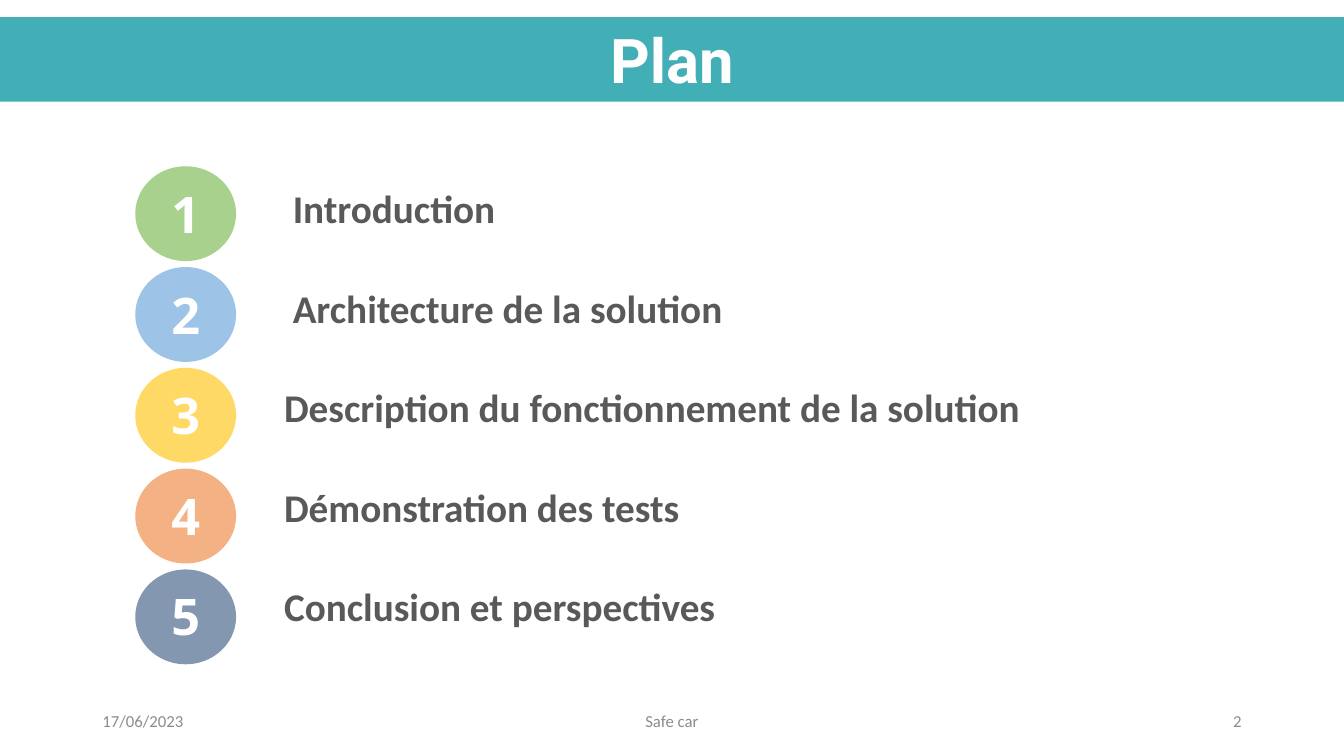
from dataclasses import dataclass

from pptx import Presentation
from pptx.dml.color import RGBColor
from pptx.enum.shapes import MSO_SHAPE as Preset
from pptx.enum.text import MSO_ANCHOR as Anchor, MSO_AUTO_SIZE as AutoSize, PP_ALIGN as Align
from pptx.util import Cm, Pt


@dataclass(frozen=True)
class Theme:
    banner: str = "42AFB6"
    white: str = "FFFFFF"
    label: str = "595959"
    footer: str = "8C8C8C"
    steps: tuple = ("A9D18E", "9DC3E6", "FFD966", "F4B183", "8497B0")
    title_font: str = "Roboto"
    number_font: str = "Noto Sans"
    body_font: str = "Calibri"
    title_size: int = 44
    number_size: int = 36
    label_size: int = 28
    footer_size: int = 12


class PlanSlide:
    def __init__(self, slide, theme):
        self.shapes = slide.shapes
        self.theme = theme

    def shape(self, preset, box, color):
        shape = self.shapes.add_shape(preset, *map(Cm, box))
        shape.shadow.inherit = False
        shape.fill.solid()
        shape.fill.fore_color.rgb = RGBColor.from_string(color)
        shape.line.fill.background()
        return shape

    def fill_text(self, frame, text, color, font, align=Align.LEFT, **frame_format):
        for name, value in {"word_wrap": True, **frame_format}.items():
            setattr(frame, name, value)
        paragraph = frame.paragraphs[0]
        paragraph.alignment = align
        run = paragraph.add_run()
        run.text = text
        for name, value in font.items():
            setattr(run.font, name, value)
        run.font.color.rgb = RGBColor.from_string(color)

    def text(self, box, text, color, font, align=Align.LEFT, **frame_format):
        frame = self.shapes.add_textbox(*map(Cm, box)).text_frame
        self.fill_text(frame, text, color, font, align, **frame_format)

    def banner(self, title):
        theme = self.theme
        band = self.shape(Preset.RECTANGLE, (0, 0.43, 33.87, 2.13), theme.banner)
        font = {"name": theme.title_font, "size": Pt(theme.title_size), "bold": True}
        self.fill_text(band.text_frame, title, theme.white, font, Align.CENTER,
                       vertical_anchor=Anchor.TOP, auto_size=AutoSize.SHAPE_TO_FIT_TEXT)

    def step(self, index, label, width, indent):
        theme = self.theme
        self.shape(Preset.OVAL, (3.41, 4.19 + 2.54 * index, 2.54, 2.39), theme.steps[index])
        number_font = {"name": theme.number_font, "size": Pt(theme.number_size), "bold": True}
        self.text((3.41, 4.5 + 2.53 * index, 2.54, 1.8), str(index + 1), theme.white,
                  number_font, Align.CENTER, auto_size=AutoSize.SHAPE_TO_FIT_TEXT)
        label_font = {"name": theme.body_font, "size": Pt(theme.label_size), "bold": True}
        self.text((6.91, 4.52 + 2.51 * index, width, 1.45), label, theme.label, label_font,
                  margin_left=Cm(0.25 + indent), auto_size=AutoSize.SHAPE_TO_FIT_TEXT)

    def footer(self, left, width, text, align):
        theme = self.theme
        font = {"name": theme.body_font, "size": Pt(theme.footer_size)}
        self.text((left, 17.65, width, 1.01), text, theme.footer, font, align,
                  vertical_anchor=Anchor.MIDDLE)


# Label, box width and extra indent in cm
STEPS = [
    ("Introduction", 16.94, 0.22),
    ("Architecture de la solution", 16.94, 0.22),
    ("Description du fonctionnement de la solution", 22.71, 0),
    ("Démonstration des tests", 16.94, 0),
    ("Conclusion et perspectives", 16.94, 0),
]

FOOTERS = [
    (2.33, 7.62, "17/06/2023", Align.LEFT),
    (11.22, 11.43, "Safe car", Align.CENTER),
    (23.92, 7.62, "2", Align.RIGHT),
]


def main():
    deck = Presentation()
    deck.slide_width, deck.slide_height = Cm(33.87), Cm(19.05)
    plan = PlanSlide(deck.slides.add_slide(deck.slide_layouts[6]), Theme())

    # Numbered steps
    for index, (label, width, indent) in enumerate(STEPS):
        plan.step(index, label, width, indent)

    # Title band
    plan.banner("Plan")

    # Date, project and page number
    for entry in FOOTERS:
        plan.footer(*entry)

    deck.save("out.pptx")


if __name__ == "__main__":
    main()
